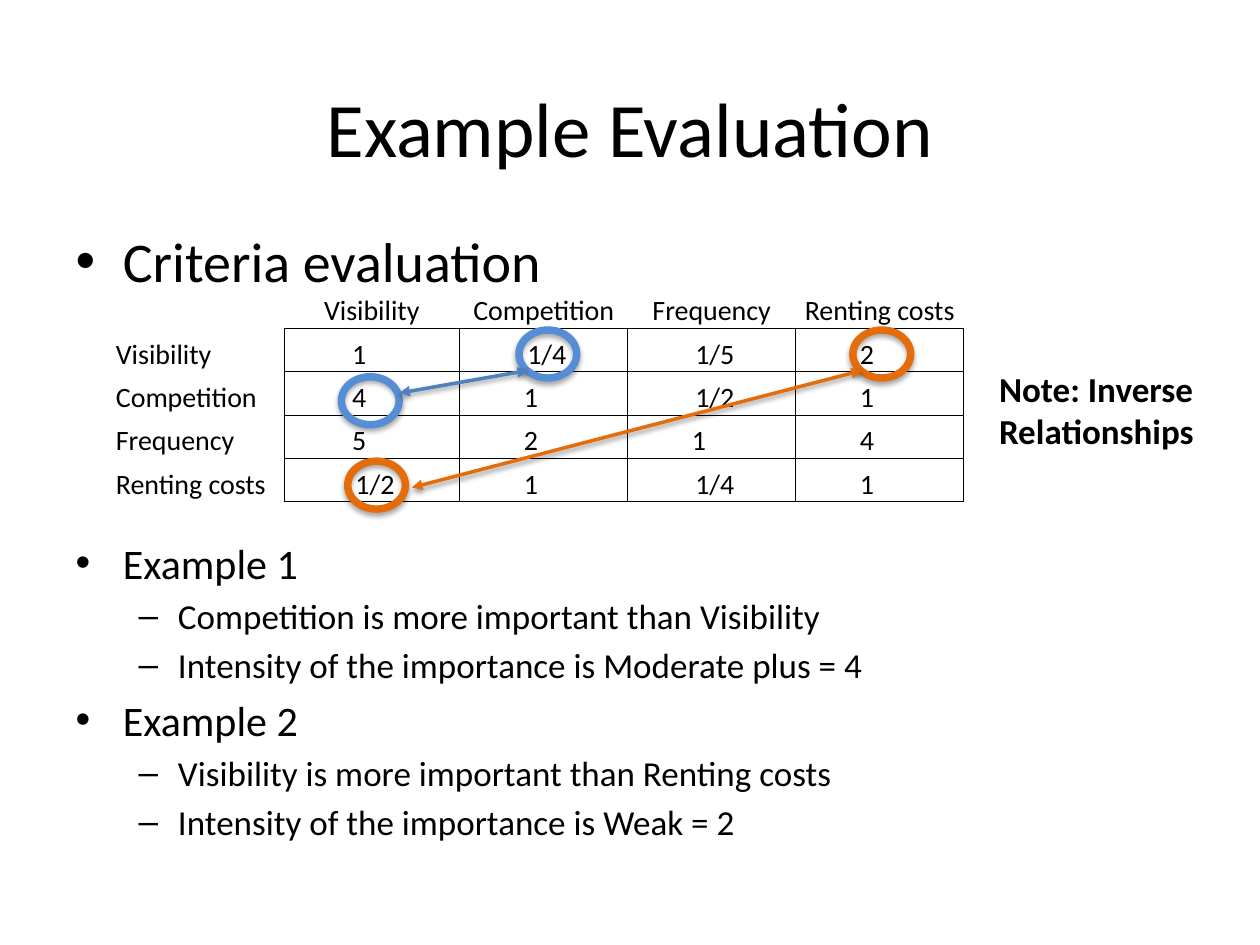
import lxml.etree
import pptx
import pptx.dml.color
import pptx.enum.shapes
import pptx.enum.text
import pptx.oxml.ns
import pptx.util

Pt = pptx.util.Pt
RGBColor = pptx.dml.color.RGBColor
Align = pptx.enum.text.PP_ALIGN
Anchor = pptx.enum.text.MSO_ANCHOR
qn = pptx.oxml.ns.qn

BLACK = RGBColor(0x00, 0x00, 0x00)
LIGHT_BLUE = RGBColor(0x55, 0x8E, 0xD5)
BLUE = RGBColor(0x4F, 0x81, 0xBD)
ORANGE = RGBColor(0xE4, 0x6C, 0x0A)
FONT = "Calibri"

CRITERIA = ["Visibility", "Competition", "Frequency", "Renting costs"]
RATINGS = [
    ["1", "1/4", "1/5", "2"],
    ["4", "1", "1/2", "1"],
    ["5", "2", "1", "4"],
    ["1/2", "1", "1/4", "1"],
]
COLUMN_WIDTHS = [96, 100.5, 96, 96, 96]
ROW_HEIGHT = 24.75

# text, level, size, space before
OUTLINE = [
    ("Criteria evaluation", 0, 32, 6.4),
    ("Example 1", 0, 24, 139),
    ("Competition is more important than Visibility", 1, 20, 4),
    ("Intensity of the importance is Moderate plus = 4", 1, 20, 4),
    ("Example 2", 0, 24, 4.8),
    ("Visibility is more important than Renting costs", 1, 20, 4),
    ("Intensity of the importance is Weak = 2", 1, 20, 4),
]


def write(para, text, size, bold=False, align=None, level=0, before=None):
    para.level = level
    para.alignment = align
    if before is not None:
        para.space_before = Pt(before)
    span = para.add_run()
    span.text = text
    span.font.name = FONT
    span.font.size = Pt(size)
    span.font.bold = bold
    span.font.color.rgb = BLACK


def place(shape, left, top, width, height):
    shape.left, shape.top = Pt(left), Pt(top)
    shape.width, shape.height = Pt(width), Pt(height)


def add_child(parent, tag, **attributes):
    child = lxml.etree.SubElement(parent, qn(tag))
    for name, value in attributes.items():
        child.set(name, str(value))
    return child


def add_shadow(shape, distance, opacity):
    """Soft black shadow falling straight down; opacity is in percent."""
    effects = add_child(shape._element.spPr, "a:effectLst")
    shadow = add_child(effects, "a:outerShdw", blurRad=Pt(3.1), dist=Pt(distance),
                       dir=90 * 60000, rotWithShape=0)
    color = add_child(shadow, "a:srgbClr", val=BLACK)
    add_child(color, "a:alpha", val=opacity * 1000)


def add_outline(page):
    body = page.placeholders[1]
    place(body, 36, 126, 648, 356.4)
    frame = body.text_frame
    frame.auto_size = pptx.enum.text.MSO_AUTO_SIZE.NONE
    for index, (text, level, size, before) in enumerate(OUTLINE):
        para = frame.add_paragraph() if index else frame.paragraphs[0]
        write(para, text, size, level=level, before=before)


def set_borders(cell, sides):
    """Draw thin lines on the named sides (of LRTB) and none on the others."""
    properties = cell._tc.get_or_add_tcPr()
    for side in "LRTB":
        line = add_child(properties, "a:ln" + side, w=Pt(0.5))
        if side in sides:
            add_child(add_child(line, "a:solidFill"), "a:srgbClr", val=BLACK)
        else:
            add_child(line, "a:noFill")


def fill_cell(cell, text, borders, align=Align.CENTER, left=0, right=0):
    set_borders(cell, borders)
    cell.fill.background()
    cell.margin_left, cell.margin_right = Pt(left), Pt(right)
    cell.margin_top = cell.margin_bottom = 0
    cell.vertical_anchor = Anchor.BOTTOM
    if text:
        write(cell.text_frame.paragraphs[0], text, 16, align=align)


def add_matrix(page):
    count = len(CRITERIA) + 1
    table = page.shapes.add_table(
        count, count, Pt(66.25), Pt(162.9),
        Pt(sum(COLUMN_WIDTHS)), Pt(count * ROW_HEIGHT)).table
    table.first_row = table.horz_banding = False
    for column, width in zip(table.columns, COLUMN_WIDTHS):
        column.width = Pt(width)
    for row in table.rows:
        row.height = Pt(ROW_HEIGHT)

    fill_cell(table.cell(0, 0), "", "")
    for index, name in enumerate(CRITERIA, 1):
        fill_cell(table.cell(0, index), name, "B")
        fill_cell(table.cell(index, 0), name, "R", align=Align.LEFT)
    for row, ratings in enumerate(RATINGS, 1):
        for column, rating in enumerate(ratings, 1):
            # Whole numbers sit left of centre, fractions slightly right of it.
            shift = {"left": 3.6} if "/" in rating else {"right": 14.5}
            fill_cell(table.cell(row, column), rating, "LRTB", **shift)


def add_ring(page, left, top, color):
    ring = page.shapes.add_shape(pptx.enum.shapes.MSO_SHAPE.OVAL,
                                 Pt(left), Pt(top), Pt(33), Pt(27.4))
    ring.fill.background()
    ring.line.color.rgb = color
    ring.line.width = Pt(4.25)
    add_shadow(ring, 1.8, 35)


def add_double_arrow(page, start, end, color):
    arrow = page.shapes.add_connector(pptx.enum.shapes.MSO_CONNECTOR.STRAIGHT,
                                      *map(Pt, start + end))
    arrow.line.color.rgb = color
    arrow.line.width = Pt(2)
    for tag in ("a:headEnd", "a:tailEnd"):
        add_child(arrow.line._get_or_add_ln(), tag, type="triangle")
    add_shadow(arrow, 1.6, 38)


def add_note(page, text):
    box = page.shapes.add_textbox(Pt(563.8), Pt(206.6), Pt(127.5), Pt(55.4))
    box.text_frame.word_wrap = True
    write(box.text_frame.paragraphs[0], text, 20, bold=True)


def main():
    deck = pptx.Presentation()
    deck.slide_width, deck.slide_height = Pt(720), Pt(540)
    page = deck.slides.add_slide(deck.slide_layouts[1])

    title = page.shapes.title
    place(title, 36, 27.4, 648, 90)
    title.text_frame.vertical_anchor = Anchor.MIDDLE
    write(title.text_frame.paragraphs[0], "Example Evaluation", 44, align=Align.CENTER)

    add_outline(page)
    add_matrix(page)
    add_ring(page, 296.6, 188.6, LIGHT_BLUE)
    add_ring(page, 195.1, 215.3, LIGHT_BLUE)
    add_double_arrow(page, (228.2, 224.6), (301.7, 211.7), BLUE)
    add_ring(page, 487.4, 188.6, ORANGE)
    add_ring(page, 198.7, 263.5, ORANGE)
    add_double_arrow(page, (235.4, 278.6), (492.5, 211.7), ORANGE)
    add_note(page, "Note: Inverse Relationships")
    deck.save("out.pptx")


if __name__ == "__main__":
    main()
